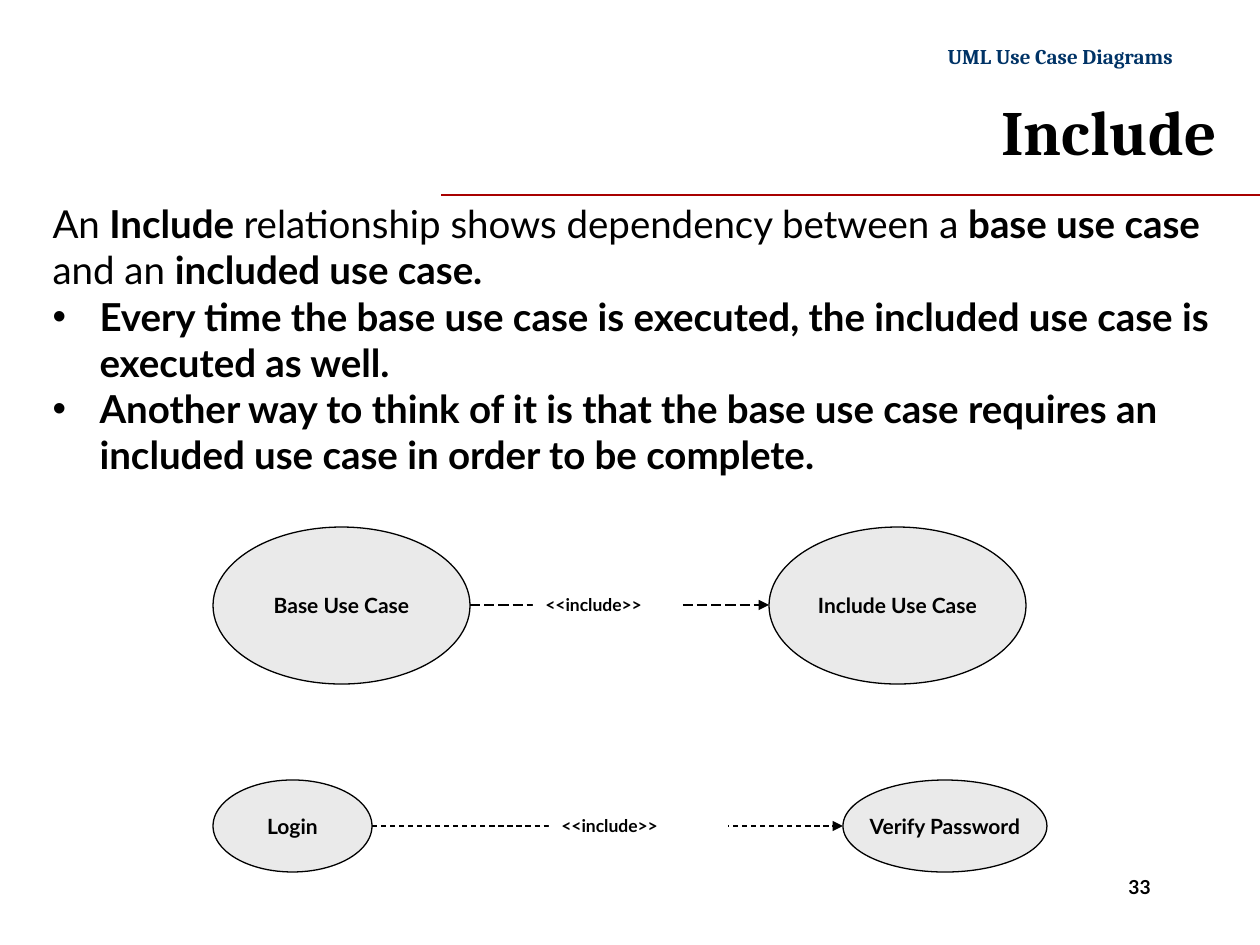
from lxml.etree import SubElement
from pptx import Presentation
from pptx.dml.color import RGBColor
from pptx.enum.dml import MSO_LINE
from pptx.enum.shapes import MSO_CONNECTOR, MSO_SHAPE
from pptx.enum.text import MSO_ANCHOR, MSO_AUTO_SIZE, PP_ALIGN
from pptx.oxml.ns import qn
from pptx.util import Emu, Pt

COLORS = {"black": "000000", "navy": "003366", "red": "A80000",
          "oval": "EAEAEA", "white": "FFFFFF"}


def px(*lengths):
    return [Emu(round(length * 914400 / 126)) for length in lengths]


def add_span(para, text, size, font="Lato", color="black", bold=True):
    span = para.add_run()
    span.text = text
    span.font.name = font
    span.font.size = Pt(size)
    span.font.bold = bold
    span.font.color.rgb = RGBColor.from_string(COLORS[color])


deck = Presentation()
deck.slide_width, deck.slide_height = px(1260, 945)
page = deck.slides.add_slide(deck.slide_layouts[1])
title, body = page.placeholders

# Title
title.left, title.top, title.width, title.height = px(263, 83, 966, 94)
title.text_frame.auto_size = MSO_AUTO_SIZE.NONE
title.text_frame.vertical_anchor = MSO_ANCHOR.MIDDLE
para = title.text_frame.paragraphs[0]
para.alignment = PP_ALIGN.RIGHT
add_span(para, "Include", 36, "Cambria")

# Explanation: an introduction and two bullets
body.left, body.top, body.width, body.height = px(40, 194, 1198, 292)
body.text_frame.auto_size = MSO_AUTO_SIZE.NONE
explanation = [
    (None, [("An", False), (" Include ", True),
            ("relationship shows dependency between a ", False),
            ("base use case ", True), ("and an ", False),
            ("included use case.", True)]),
    ("•", [("Every time the base use case is executed, the included use case "
            "is executed as well.", True)]),
    ("•", [("Another way to think of it is that the base use case requires an "
            "included use case in order to be complete.", True)]),
]
for number, (bullet, spans) in enumerate(explanation):
    para = body.text_frame.add_paragraph() if number else body.text_frame.paragraphs[0]
    para.space_before = Pt(0)
    properties = para._p.get_or_add_pPr()
    indent = px(47)[0] if bullet else 0
    properties.set("marL", str(indent))
    properties.set("indent", str(-indent))
    if bullet:
        SubElement(properties, qn("a:buChar"), char=bullet)
    else:
        SubElement(properties, qn("a:buNone"))
    for text, bold in spans:
        add_span(para, text, 22, bold=bold)

# Running header and page number
for text, area, size, font, color, align, wrap in [
    ("UML Use Case Diagrams ", (929, 37, 261, 38), 12, "Cambria", "navy", PP_ALIGN.RIGHT, False),
    ("33", (1116, 869, 112, 37), 11, "Lato", "black", PP_ALIGN.LEFT, True),
]:
    box = page.shapes.add_textbox(*px(*area))
    box.text_frame.word_wrap = wrap
    para = box.text_frame.paragraphs[0]
    para.alignment = align
    add_span(para, text, size, font, color)

# Use case ovals
for text, area in [
    ("Base Use Case", (213, 527, 257, 157)),
    ("Include Use Case", (769, 527, 257, 157)),
    ("Login", (213, 780, 159, 92)),
    ("Verify Password", (843, 780, 204, 92)),
]:
    oval = page.shapes.add_shape(MSO_SHAPE.OVAL, *px(*area))
    oval.shadow.inherit = False
    oval.fill.solid()
    oval.fill.fore_color.rgb = RGBColor.from_string(COLORS["oval"])
    oval.line.color.rgb = RGBColor.from_string(COLORS["black"])
    oval.line.width = Pt(0.75)
    oval.text_frame.word_wrap = False
    oval.text_frame.vertical_anchor = MSO_ANCHOR.MIDDLE
    para = oval.text_frame.paragraphs[0]
    para.alignment = PP_ALIGN.CENTER
    add_span(para, text, 12)

# Title rule and dashed include arrows
for start, end, y, color, dash in [
    (441, 1260, 195, "red", None),
    (470, 769, 605, "black", MSO_LINE.LONG_DASH),
    (372, 843, 826, "black", MSO_LINE.DASH),
]:
    line = page.shapes.add_connector(MSO_CONNECTOR.STRAIGHT, *px(start, y, end, y))
    line.line.color.rgb = RGBColor.from_string(COLORS[color])
    line.line.width = Pt(0.75)
    if dash:
        line.line.dash_style = dash
        SubElement(line.line._get_or_add_ln(), qn("a:tailEnd"), type="triangle")
    SubElement(line._element.spPr, qn("a:effectLst"))

# Labels that interrupt the arrows
for area in [(533, 588, 149, 34), (549, 809, 179, 34)]:
    label = page.shapes.add_shape(MSO_SHAPE.RECTANGLE, *px(*area))
    label.shadow.inherit = False
    label.fill.solid()
    label.fill.fore_color.rgb = RGBColor.from_string(COLORS["white"])
    label.line.fill.background()
    label.text_frame.vertical_anchor = MSO_ANCHOR.TOP
    para = label.text_frame.paragraphs[0]
    para.alignment = PP_ALIGN.LEFT
    add_span(para, "<<include>>", 10)

deck.save("out.pptx")
